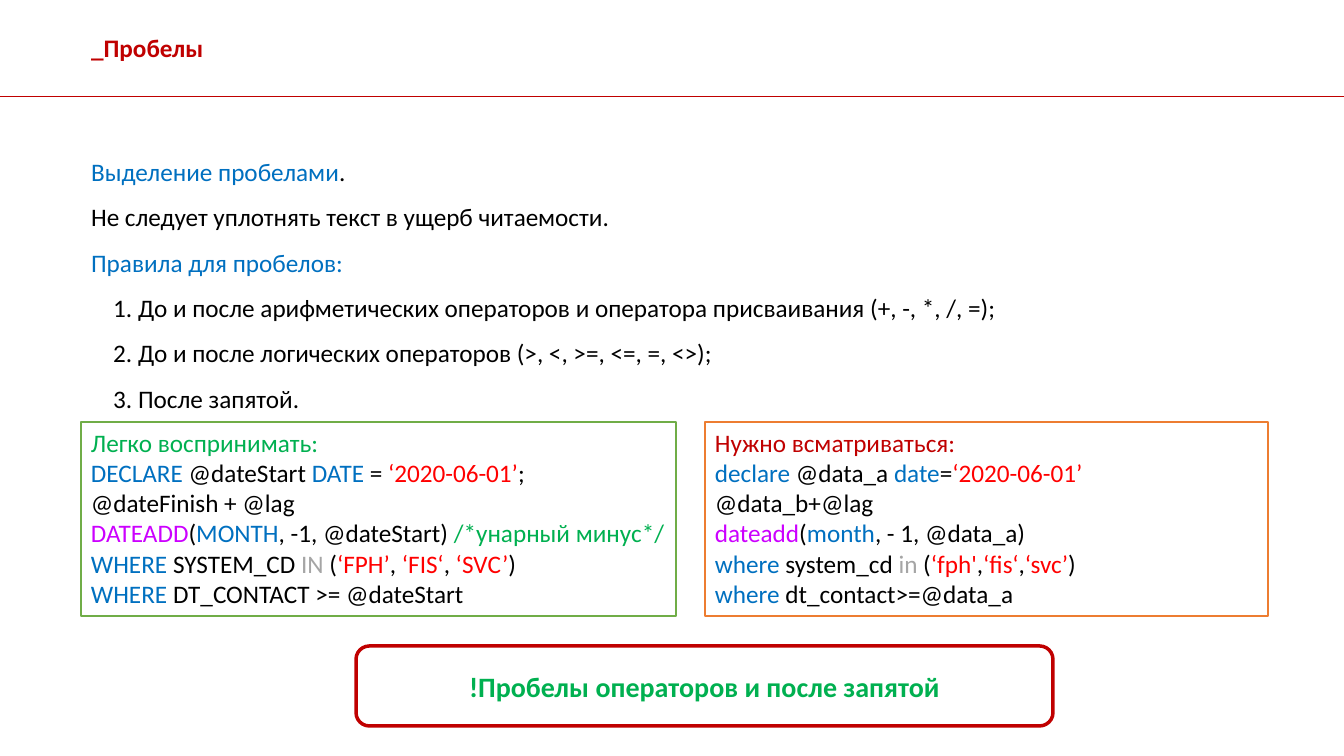
from lxml import etree
from pptx import Presentation
from pptx import util as u
from pptx.dml import color
from pptx.enum import shapes, text
from pptx.oxml import ns

SCALE = 914400 / 100.8
BLACK, BLUE, RED, GREEN = "000000", "0070C0", "FF0000", "00B050"
DARK, PINK, GRAY = "C00000", "CC00FF", "A5A5A5"

INTRO = [
    [("Выделение пробелами", BLUE), (".", BLACK)],
    [("Не следует уплотнять текст в ущерб читаемости.", BLACK)],
    [("Правила для пробелов:", BLUE)],
]
RULES = [
    [("До и после арифметических операторов и оператора присваивания (+, -, *, /, =);", BLACK)],
    [("До и после логических операторов (>, <, >=, <=, =, <>);", BLACK)],
    [("После запятой.", BLACK)],
]
GOOD = [
    [("Легко воспринимать:", GREEN)],
    [("DECLARE", BLUE), (" @dateStart ", BLACK), ("DATE", BLUE), (" = ", BLACK),
     ("‘2020-06-01’", RED), (";", BLACK)],
    [("@dateFinish + @lag", BLACK)],
    [("DATEADD", PINK), ("(", BLACK), ("MONTH", BLUE), (", -1, @dateStart) ", BLACK),
     ("/*унарный минус*/", GREEN)],
    [("WHERE ", BLUE), ("SYSTEM_CD ", BLACK), ("IN ", GRAY), ("(", BLACK), ("‘FPH’", RED),
     (", ", BLACK), ("‘FIS‘", RED), (",", BLACK), (" ‘SVC’", RED), (")", BLACK)],
    [("WHERE ", BLUE), ("DT_CONTACT >= @dateStart", BLACK)],
]
BAD = [
    [("Нужно всматриваться:", DARK)],
    [("declare", BLUE), (" @data_a ", BLACK), ("date", BLUE), ("=", BLACK),
     ("‘2020-06-01’", RED)],
    [("@data_b+@lag", BLACK)],
    [("dateadd", PINK), ("(", BLACK), ("month", BLUE), (", - 1, @data_a)", BLACK)],
    [("where ", BLUE), ("system_cd ", BLACK), ("in", GRAY), (" (", BLACK), ("‘fph'", RED),
     (",", BLACK), ("‘fis‘", RED), (",", BLACK), ("‘svc’", RED), (")", BLACK)],
    [("where ", BLUE), ("dt_contact>=@data_a", BLACK)],
]


def px(n):
    return u.Emu(round(n * SCALE))


def rgb(code):
    return color.RGBColor.from_string(code)


def put(item, values):
    """Set each attribute of item from a dict."""
    for name, value in values.items():
        setattr(item, name, value)


def place(shape, left, top, width, height):
    put(shape, {"left": px(left), "top": px(top), "width": px(width), "height": px(height)})


def write(shape, lines, frame=None, para=None, font=None):
    """Fill a shape with lines of (words, colour) pieces."""
    box = shape.text_frame
    put(box, {"word_wrap": True, "auto_size": text.MSO_AUTO_SIZE.NONE,
              "vertical_anchor": text.MSO_ANCHOR.TOP, **(frame or {})})
    for i, line in enumerate(lines):
        par = box.paragraphs[0] if i == 0 else box.add_paragraph()
        put(par, {"alignment": text.PP_ALIGN.LEFT, "space_before": u.Pt(0), **(para or {})})
        for words, tint in line:
            run = par.add_run()
            run.text = words
            put(run.font, {"name": "Calibri", "size": u.Pt(18), **(font or {})})
            run.font.color.rgb = rgb(tint)


def mark(par, tag, margin=0, hang=0, **attrs):
    """Set the bullet and the indents of a paragraph."""
    props = par._p.get_or_add_pPr()
    props.set("marL", str(px(margin)))
    props.set("indent", str(px(-hang)))
    etree.SubElement(props, ns.qn(tag), attrs)


def panel(slide, kind, area, edge, width, fill=None):
    shape = slide.shapes.add_shape(kind, *map(px, area))
    shape.shadow.inherit = False
    if fill:
        shape.fill.solid()
        shape.fill.fore_color.rgb = rgb(fill)
    else:
        shape.fill.background()
    shape.line.color.rgb = rgb(edge)
    shape.line.width = u.Pt(width)
    return shape


def rule(slide, top, width):
    """Draw the thin line across the slide."""
    line = slide.shapes.add_connector(
        shapes.MSO_CONNECTOR.STRAIGHT, 0, px(top), px(width), px(top))
    line.line.color.rgb = rgb(DARK)
    line.line.width = u.Pt(0.5)
    etree.SubElement(line._element.spPr, ns.qn("a:effectLst"))


def main():
    deck = Presentation()
    put(deck, {"slide_width": px(1344), "slide_height": px(756)})
    slide = deck.slides.add_slide(deck.slide_layouts[1])
    title, body = slide.placeholders

    place(title, 81, 27, 134, 41)
    write(title, [[("_Пробелы", DARK)]], {"word_wrap": False}, font={"bold": True})

    place(body, 81, 136, 1178, 285)
    write(body, INTRO + RULES, para={"line_spacing": 1.5})
    for i, par in enumerate(body.text_frame.paragraphs):
        if i < len(INTRO):
            mark(par, "a:buNone")
        else:
            mark(par, "a:buAutoNum", 47, 25, type="arabicPeriod")

    rule(slide, 96, 1344)

    for left, width, edge, lines in ((81, 595, "70AD47", GOOD), (705, 563, "ED7D31", BAD)):
        box = panel(slide, shapes.MSO_SHAPE.RECTANGLE, (left, 422, width, 194),
                    edge, 1, "FFFFFF")
        write(box, lines)

    note = panel(slide, shapes.MSO_SHAPE.ROUNDED_RECTANGLE, (356, 646, 697, 80), DARK, 2.5)
    write(note, [[("!Пробелы операторов и после запятой", GREEN)]],
          {"vertical_anchor": text.MSO_ANCHOR.MIDDLE},
          {"alignment": text.PP_ALIGN.CENTER},
          {"size": u.Pt(20), "bold": True})

    deck.save("out.pptx")


if __name__ == "__main__":
    main()
